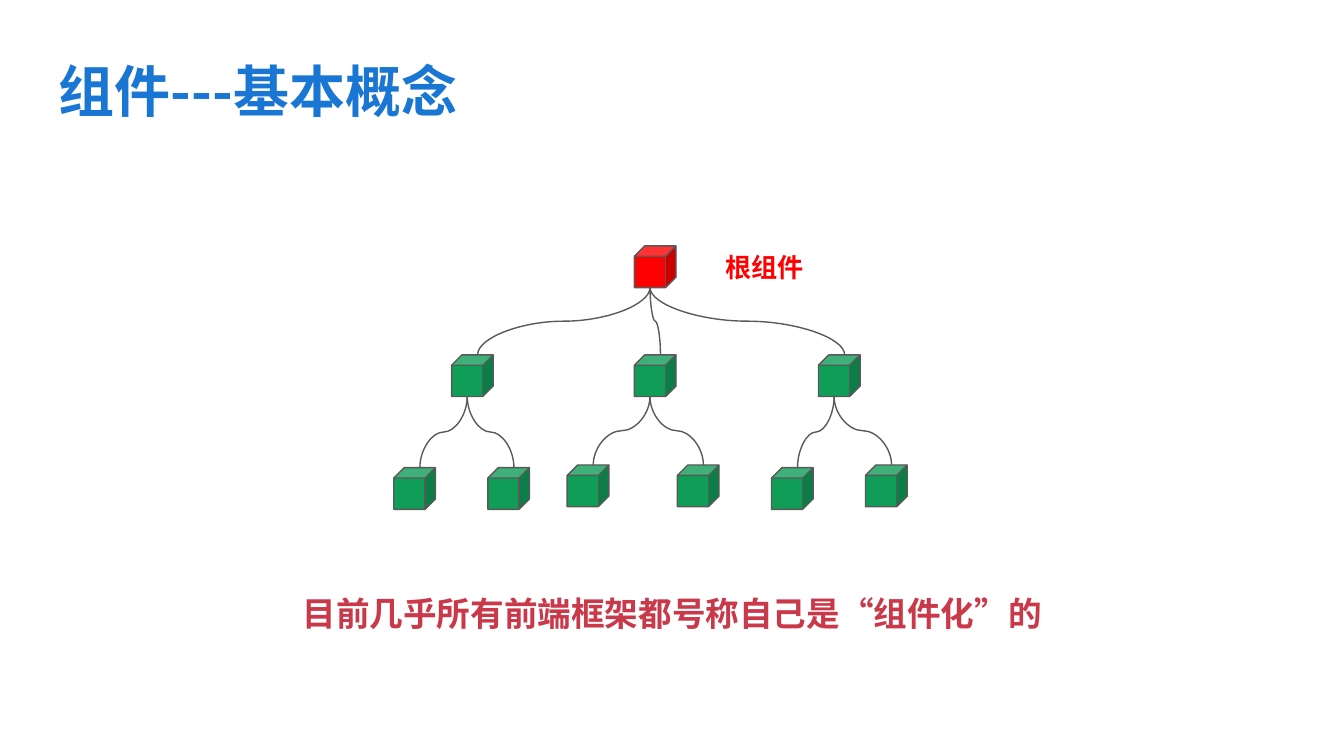
"""Slide showing a component tree with a title, a root label and a closing line."""
from lxml.etree import SubElement
from pptx import Presentation
from pptx.dml.color import RGBColor
from pptx.enum.shapes import MSO_CONNECTOR as CONN, MSO_SHAPE as SHAPE
from pptx.enum.text import MSO_ANCHOR as ANCHOR, PP_ALIGN as ALIGN
from pptx.oxml.ns import qn
from pptx.util import Inches, Pt

TITLE = "组件---基本概念"
SUMMARY = "目前几乎所有前端框架都号称自己是“组件化”的"
ROOT_LABEL = "根组件"

ROOT = (4.72, 1.83)
BRANCHES = [
    ((3.36, 2.64), [(2.93, 3.48), (3.63, 3.48)]),
    ((4.72, 2.64), [(4.22, 3.46), (5.04, 3.46)]),
    ((6.09, 2.64), [(5.74, 3.48), (6.44, 3.46)]),
]

WIDTH = 10
HEIGHT = WIDTH * 9 / 16
CUBE = 0.31
DEPTH = 0.25

THEME = {
    "font": "Noto Sans CJK SC",
    "title": "1976D2", "title_size": 30,
    "summary": "C9394A", "summary_size": 18,
    "root": "FF0000", "label_size": 14,
    "child": "0F9D58",
    "line": "595959", "line_width": 0.75,
}


def rgb(name):
    return RGBColor.from_string(THEME[name])


def add_text(slide, text, box, *, size, color, align=ALIGN.LEFT, anchor=ANCHOR.TOP):
    tf = slide.shapes.add_textbox(*map(Inches, box)).text_frame
    tf.word_wrap = True
    tf.vertical_anchor = anchor
    tf.margin_left = tf.margin_right = tf.margin_top = tf.margin_bottom = Inches(0.1)
    p = tf.paragraphs[0]
    p.alignment = align
    r = p.add_run()
    r.text = text
    r.font.name = THEME["font"]
    r.font.size = Pt(THEME[size])
    r.font.bold = True
    r.font.color.rgb = rgb(color)
    SubElement(r.font._element, qn("a:ea"), typeface=THEME["font"])


def style_line(line):
    line.color.rgb = rgb("line")
    line.width = Pt(THEME["line_width"])


def add_cube(slide, pos, color):
    sp = slide.shapes.add_shape(SHAPE.CUBE, *map(Inches, (*pos, CUBE, CUBE)))
    sp.adjustments[0] = DEPTH
    sp.shadow.inherit = False
    sp.fill.solid()
    sp.fill.fore_color.rgb = rgb(color)
    style_line(sp.line)


def add_branch(slide, parent, child):
    front = CUBE * (1 - DEPTH) / 2
    x1, y1 = parent[0] + front, parent[1] + CUBE
    x2, y2 = child[0] + CUBE - front, child[1]
    drop, shift = y2 - y1, abs(x2 - x1)
    left = (x1 + x2 - drop) / 2
    top = (y1 + y2 - shift) / 2
    ends = [left, left + drop]
    to_right = x2 > x1
    if to_right:
        ends.reverse()
    cxn = slide.shapes.add_connector(
        CONN.CURVE, Inches(ends[0]), Inches(top), Inches(ends[1]), Inches(top + shift))
    spPr = cxn._element.spPr
    spPr.get_or_add_xfrm().set("rot", str((270 if to_right else 90) * 60000))
    style_line(cxn.line)
    SubElement(spPr, qn("a:effectLst"))


def main():
    prs = Presentation()
    prs.slide_width, prs.slide_height = Inches(WIDTH), Inches(HEIGHT)
    s = prs.slides.add_slide(prs.slide_layouts[6])

    add_text(s, TITLE, (0.34, 0.32, 9.32, 0.63), size="title_size", color="title")
    add_text(s, SUMMARY, (0.34, 4.31, 9.32, 0.54), size="summary_size",
             color="summary", align=ALIGN.CENTER)

    add_cube(s, ROOT, "root")
    for node, leaves in BRANCHES:
        add_cube(s, node, "child")
        add_branch(s, ROOT, node)
        for leaf in leaves:
            add_cube(s, leaf, "child")
            add_branch(s, node, leaf)

    add_text(s, ROOT_LABEL, (5.3, 1.83, 0.83, 0.31), size="label_size",
             color="root", anchor=ANCHOR.MIDDLE)
    prs.save("out.pptx")


if __name__ == "__main__":
    main()
